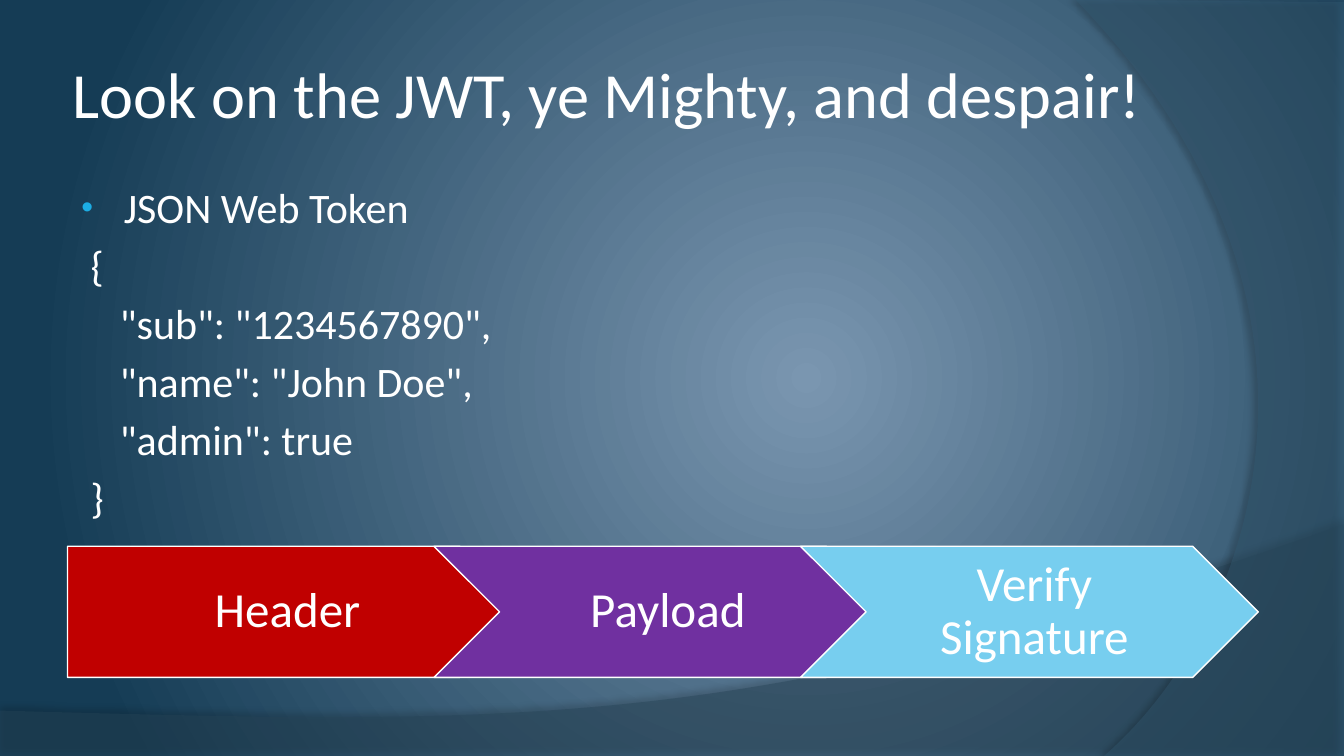
from lxml import etree
from pptx import Presentation
from pptx import util as u
from pptx.dml.color import RGBColor
from pptx.enum import shapes, text
from pptx.oxml import parse_xml
from pptx.oxml.ns import nsdecls, qn

COLORS = {
    "white": "FFFFFF", "bullet": "1CADE4", "black": "000000",
    "glow": "7A96B0", "edge": "153C55", "wave": "264457", "arc": "335B74",
    "header": "C00000", "payload": "7030A0", "signature": "77CEEF",
}
FONT = "Calibri"
SLIDE_WIDTH, SLIDE_HEIGHT = 13.33, 7.5
LEFT, CONTENT_WIDTH = 0.67, 10.89
JSON_LINES = [
    ("JSON Web Token", 0.46),
    ("{", 0.13),
    ('"sub": "1234567890",', 0.42),
    ('"name": "John Doe",', 0.42),
    ('"admin": true', 0.42),
    ("}", 0.13),
]
TOKEN_PARTS = [("Header", "header"), ("Payload", "payload"),
               ("Verify Signature", "signature")]


def rgb(name):
    return RGBColor.from_string(COLORS[name])


def add_run(paragraph, words, size):
    run = paragraph.add_run()
    run.text = words
    run.font.name = FONT
    run.font.size = u.Pt(size)
    run.font.color.rgb = rgb("white")


def set_insets(frame, left, top, right, bottom):
    frame.margin_left, frame.margin_top = u.Inches(left), u.Inches(top)
    frame.margin_right, frame.margin_bottom = u.Inches(right), u.Inches(bottom)


def paint_background(slide):
    """Radial gradient centred right of the middle."""
    fill = slide.background.fill
    fill.gradient()
    for stop, name in zip(fill.gradient_stops, ("glow", "edge")):
        stop.color.rgb = rgb(name)
    gradient = slide.background._cSld.find(".//" + qn("a:gradFill"))
    gradient.replace(gradient.find(qn("a:lin")), parse_xml(
        f'<a:path {nsdecls("a")} path="circle">'
        '<a:fillToRect l="60000" t="50000" r="40000" b="50000"/></a:path>'))


def curve(start, control_1, control_2, end, steps=60):
    """Points along a cubic Bezier curve, without its start."""
    points = []
    for step in range(1, steps + 1):
        t = step / steps
        weights = ((1 - t) ** 3, 3 * t * (1 - t) ** 2, 3 * t * t * (1 - t), t ** 3)
        points.append(tuple(
            sum(weight * point[axis] for weight, point in
                zip(weights, (start, control_1, control_2, end)))
            for axis in (0, 1)))
    return points


def add_veil(slide, points, color, opacity, shadow):
    """Translucent outline with a soft shadow, placed behind the text."""
    corners = [(u.Inches(x), u.Inches(y)) for x, y in points]
    builder = slide.shapes.build_freeform(*corners[0])
    builder.add_line_segments(corners[1:], close=True)
    veil = builder.convert_to_shape()
    veil.fill.solid()
    veil.fill.fore_color.rgb = rgb(color)
    veil.line.fill.background()
    tint = veil._element.spPr.find(qn("a:solidFill"))[0]
    etree.SubElement(tint, qn("a:alpha"), val=str(opacity * 1000))
    shadow_opacity, blur, distance, angle = shadow
    veil._element.spPr.append(parse_xml(
        f'<a:effectLst {nsdecls("a")}><a:outerShdw blurRad="{u.Pt(blur)}" '
        f'dist="{u.Pt(distance)}" dir="{angle * 60000}" algn="ctr" rotWithShape="0">'
        f'<a:srgbClr val="{COLORS["black"]}"><a:alpha val="{shadow_opacity * 1000}"/>'
        '</a:srgbClr></a:outerShdw></a:effectLst>'))


def add_backdrop(slide):
    paint_background(slide)
    right, bottom = SLIDE_WIDTH, SLIDE_HEIGHT
    wave = [(0, 7.05), (0, bottom), (right, bottom), (right, 5.2)]
    wave += curve(wave[-1], (7.45, 7.29), (5.21, 7.19), wave[0])
    add_veil(slide, wave, "wave", 45, (35, 4, 3.5, 270))
    arc = [(right, 0.02), (right, bottom), (10.95, bottom)]
    arc += curve(arc[-1], (12.46, 6.19), (13.57, 3), (10.67, 0))
    add_veil(slide, arc, "arc", 40, (45, 4, 4, 180))


def place_title(slide, words, left, top, width, height):
    title = slide.shapes.title
    title.left, title.top = u.Inches(left), u.Inches(top)
    title.width, title.height = u.Inches(width), u.Inches(height)
    slide.shapes._spTree.append(title._element)
    frame = title.text_frame
    frame.word_wrap = True
    frame.vertical_anchor = text.MSO_ANCHOR.MIDDLE
    set_insets(frame, 0.05, 0.05, 0.05, 0.05)
    paragraph = frame.paragraphs[0]
    paragraph.alignment = text.PP_ALIGN.LEFT
    add_run(paragraph, words, 46)


def add_bullet(properties):
    properties.set("indent", str(-u.Inches(0.42)))
    color = etree.SubElement(properties, qn("a:buClr"))
    etree.SubElement(color, qn("a:srgbClr"), val=COLORS["bullet"])
    etree.SubElement(properties, qn("a:buSzPct"), val="80000")
    etree.SubElement(properties, qn("a:buFont"), typeface="Arial")
    etree.SubElement(properties, qn("a:buChar"), char="•")


def add_json_text(slide, left, top, width, height):
    box = slide.shapes.add_textbox(*map(u.Inches, (left, top, width, height)))
    frame = box.text_frame
    frame.word_wrap = True
    set_insets(frame, 0.1, 0.05, 0.1, 0.05)
    for index, (words, indent) in enumerate(JSON_LINES):
        paragraph = frame.add_paragraph() if index else frame.paragraphs[0]
        paragraph.space_before = u.Pt(5.4)
        properties = paragraph._p.get_or_add_pPr()
        properties.set("marL", str(u.Inches(indent)))
        if index == 0:
            add_bullet(properties)
        add_run(paragraph, words, 30)


def add_token_chain(slide, left, top, width, height):
    """Arrows that overlap so each point fills the next notch."""
    arrow_width = 4.54
    step = (width - arrow_width) / (len(TOKEN_PARTS) - 1)
    for index, (words, color) in enumerate(TOKEN_PARTS):
        kind = shapes.MSO_SHAPE.CHEVRON if index else shapes.MSO_SHAPE.PENTAGON
        arrow = slide.shapes.add_shape(kind, *map(
            u.Inches, (left + index * step, top, arrow_width, height)))
        arrow.shadow.inherit = False
        arrow.fill.solid()
        arrow.fill.fore_color.rgb = rgb(color)
        arrow.line.color.rgb = rgb("white")
        arrow.line.width = u.Pt(1)
        frame = arrow.text_frame
        frame.word_wrap = True
        frame.vertical_anchor = text.MSO_ANCHOR.MIDDLE
        set_insets(frame, 0.15 if index else 0.2, 0.1, 0.05, 0.1)
        paragraph = frame.paragraphs[0]
        paragraph.alignment = text.PP_ALIGN.CENTER
        paragraph.line_spacing = 0.9
        add_run(paragraph, words, 35)


def build_token_slide(presentation):
    slide = presentation.slides.add_slide(presentation.slide_layouts[5])
    add_backdrop(slide)
    add_json_text(slide, LEFT, 1.75, CONTENT_WIDTH, 4.95)
    place_title(slide, "Look on the JWT, ye Mighty, and despair!",
                LEFT, 0.3, CONTENT_WIDTH, 1.25)
    add_token_chain(slide, LEFT, 5.42, 11.81, 1.3)


def main():
    presentation = Presentation()
    presentation.slide_width = u.Inches(SLIDE_WIDTH)
    presentation.slide_height = u.Inches(SLIDE_HEIGHT)
    build_token_slide(presentation)
    presentation.save("out.pptx")


if __name__ == "__main__":
    main()
